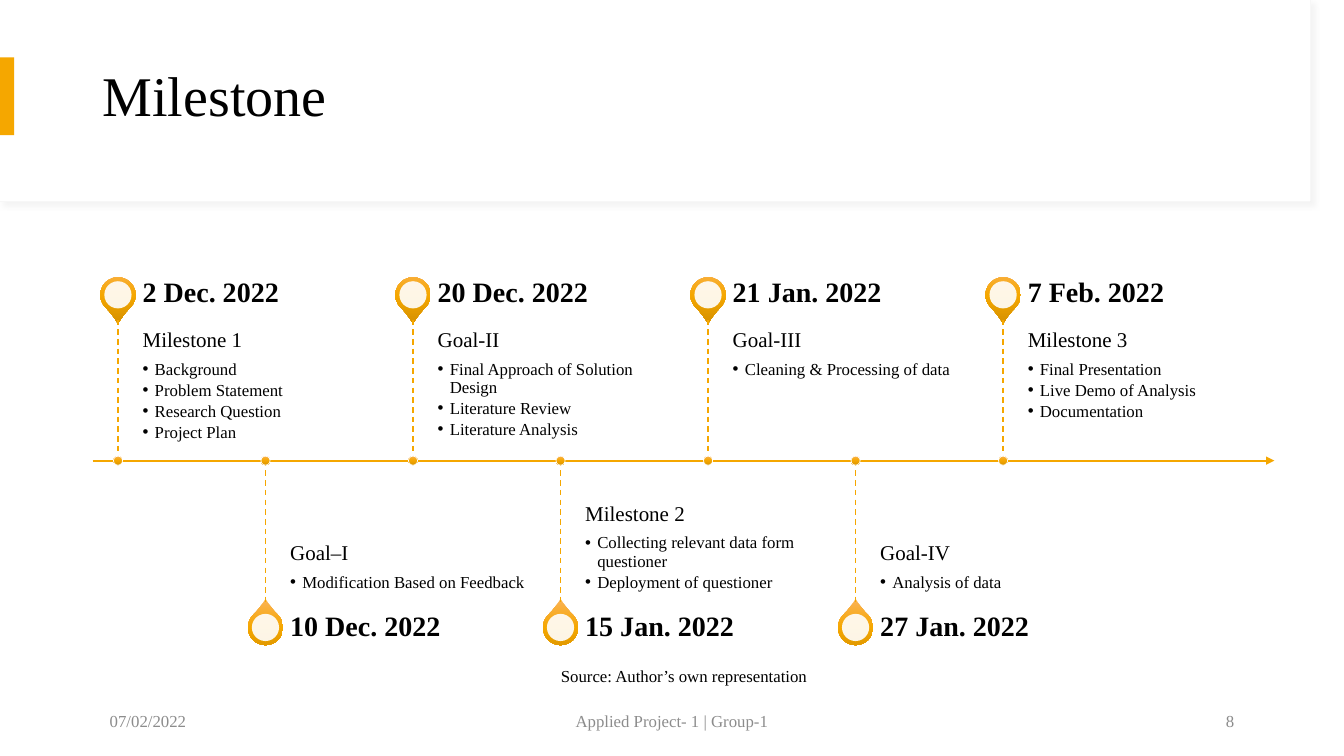
import dataclasses

import pptx
import pptx.dml.color
import pptx.enum.shapes
import pptx.enum.text
import pptx.oxml
import pptx.oxml.ns
import pptx.util

Inches = pptx.util.Inches
Pt = pptx.util.Pt
SHAPE = pptx.enum.shapes.MSO_SHAPE
ALIGN = pptx.enum.text.PP_ALIGN
ANCHOR = pptx.enum.text.MSO_ANCHOR
NS = pptx.oxml.ns.nsdecls("a")


@dataclasses.dataclass(frozen=True)
class Theme:
    font: str = "Times New Roman"
    accent: str = "F5A700"
    light: str = "FAB14B"
    dark: str = "DA9400"
    white: str = "FFFFFF"
    text: str = "000000"
    muted: str = "8C8C8C"
    rule: str = "E9E9E9"
    shadow: str = "D9D9D9"
    title: int = 40
    date: int = 20
    heading: int = 15
    body: int = 12


THEME = Theme()
MILESTONES = [
    ("2 Dec. 2022", "Milestone 1",
     ["Background", "Problem Statement", "Research Question", "Project Plan"]),
    ("10 Dec. 2022", "Goal–I", ["Modification Based on Feedback"]),
    ("20 Dec. 2022", "Goal-II",
     ["Final Approach of Solution Design", "Literature Review", "Literature Analysis"]),
    ("15 Jan. 2022", "Milestone 2",
     ["Collecting relevant data form questioner", "Deployment of questioner"]),
    ("21 Jan. 2022", "Goal-III", ["Cleaning & Processing of data"]),
    ("27 Jan. 2022", "Goal-IV", ["Analysis of data"]),
    ("7 Feb. 2022", "Milestone 3",
     ["Final Presentation", "Live Demo of Analysis", "Documentation"]),
]


def rgb(color):
    return pptx.dml.color.RGBColor.from_string(color)


def add_text_box(s, x, y, w, h, anchor=ANCHOR.MIDDLE, insets=(0.1, 0.05, 0.1, 0.05)):
    tf = s.shapes.add_textbox(Inches(x), Inches(y), Inches(w), Inches(h)).text_frame
    tf.word_wrap = True
    tf.vertical_anchor = anchor
    tf.margin_left, tf.margin_top, tf.margin_right, tf.margin_bottom = map(Inches, insets)
    return tf


def write(p, text, size, color=THEME.text, bold=False, align=ALIGN.LEFT, spacing=1.0, after=0):
    p.alignment = align
    p.line_spacing = spacing
    p.space_after = Pt(after)
    r = p.add_run()
    r.text = text
    r.font.name = THEME.font
    r.font.size = Pt(size)
    r.font.bold = bold
    r.font.color.rgb = rgb(color)


def add_bullet(p):
    pPr = p._p.get_or_add_pPr()
    pPr.set("marL", str(Inches(0.12)))
    pPr.set("indent", str(-Inches(0.12)))
    pPr.append(pptx.oxml.parse_xml(f'<a:buFont {NS} typeface="Arial"/>'))
    pPr.append(pptx.oxml.parse_xml(f'<a:buChar {NS} char="•"/>'))


def add_plain_shape(s, kind, x, y, w, h, fill=None):
    sp = s.shapes.add_shape(kind, Inches(x), Inches(y), Inches(w), Inches(h))
    sp.shadow.inherit = False
    sp.line.fill.background()
    if fill:
        sp.fill.solid()
        sp.fill.fore_color.rgb = rgb(fill)
    else:
        stops = "".join(f'<a:gs pos="{pos}"><a:srgbClr val="{color}"/></a:gs>' for pos, color in
                        ((0, THEME.light), (50000, THEME.accent), (100000, THEME.dark)))
        sp._element.spPr.find(pptx.oxml.ns.qn("a:prstGeom")).addnext(pptx.oxml.parse_xml(
            f'<a:gradFill {NS} rotWithShape="0"><a:gsLst>{stops}</a:gsLst>'
            '<a:lin ang="5400000" scaled="0"/></a:gradFill>'))
    return sp


def add_line(s, x1, y1, x2, y2, width, detail):
    line = s.shapes.add_connector(pptx.enum.shapes.MSO_CONNECTOR.STRAIGHT,
                                  Inches(x1), Inches(y1), Inches(x2), Inches(y2))
    line.line.color.rgb = rgb(THEME.accent)
    line.line.width = Pt(width)
    line.line._get_or_add_ln().append(pptx.oxml.parse_xml(detail))
    line._element.spPr.append(pptx.oxml.parse_xml(f"<a:effectLst {NS}/>"))


def cubic(a, b, c, d, steps=24):
    for i in range(1, steps + 1):
        t = i / steps
        yield tuple((1 - t) ** 3 * k + 3 * (1 - t) ** 2 * t * m + 3 * (1 - t) * t * t * n + t ** 3 * q
                    for k, m, n, q in zip(a, b, c, d))


def add_curved_panel(s, x, y, w, h):
    edge, side, mid = h - 0.29, h - 0.21, h - 0.08
    points = [(w, 0), (w, edge), (w - 0.91, side)]
    points += cubic((w - 0.91, side), (10.65, mid), (8.71, h), (w / 2, h))
    points += cubic((w / 2, h), (4.63, h), (2.68, mid), (0.91, side))
    points.append((0, edge))
    builder = s.shapes.build_freeform(0, 0, scale=Inches(1))
    builder.add_line_segments(points, close=True)
    sp = builder.convert_to_shape(Inches(x), Inches(y))
    sp.shadow.inherit = False
    sp.fill.solid()
    sp.fill.fore_color.rgb = rgb(THEME.white)
    sp.line.fill.background()
    return sp


def add_header(s, x, y, w, h):
    panel = add_curved_panel(s, x, y, w, h)
    panel.line.color.rgb = rgb(THEME.rule)
    panel.line.width = Pt(0.75)
    panel._element.spPr.find(pptx.oxml.ns.qn("a:effectLst")).append(pptx.oxml.parse_xml(
        f'<a:outerShdw {NS} blurRad="{Pt(4)}" dist="{Pt(3)}" dir="2700000" algn="tl" '
        f'rotWithShape="0"><a:srgbClr val="{THEME.shadow}"><a:alpha val="30000"/></a:srgbClr>'
        '</a:outerShdw>'))
    add_curved_panel(s, x, y, w, h - 0.01)
    tf = add_text_box(s, x + 0.92, y + 0.28, 11.5, 1.39)
    write(tf.paragraphs[0], "Milestone", THEME.title, spacing=0.9)
    add_plain_shape(s, SHAPE.RECTANGLE, x, y + 0.57, 0.14, 0.77, THEME.accent)


def add_milestone(s, x, y, w, above, date, heading, items):
    date_y = y - 1.9 if above else y + 1.41
    pin_y = y - 1.645 if above else y + 1.655
    pin = add_plain_shape(s, SHAPE.TEAR, x - 0.175, pin_y - 0.175, 0.35, 0.35)
    pin.adjustments[0] = 1.15
    pin.rotation = 135 if above else 315
    hole = add_plain_shape(s, SHAPE.OVAL, x - 0.135, pin_y - 0.135, 0.27, 0.27, THEME.white)
    hole._element.spPr.find(pptx.oxml.ns.qn("a:solidFill"))[0].append(
        pptx.oxml.parse_xml(f'<a:alpha {NS} val="90000"/>'))

    tf = add_text_box(s, x + 0.245, y - 1.4 if above else y, w, 1.4,
                      ANCHOR.TOP if above else ANCHOR.BOTTOM,
                      (0, 0.1, 0.1, 0.16) if above else (0, 0.16, 0, 0.1))
    write(tf.paragraphs[0], heading, THEME.heading, spacing=0.9, after=6)
    for item in items:
        p = tf.add_paragraph()
        write(p, item, THEME.body, spacing=0.9, after=2)
        p.level = 1
        add_bullet(p)

    tf = add_text_box(s, x + 0.245, date_y, w, 0.49, insets=(0, 0, 0.14, 0))
    write(tf.paragraphs[0], date, THEME.date, bold=True, spacing=0.9)
    ends = (y - 1.4, y) if above else (y, y + 1.41)
    add_line(s, x, ends[0], x, ends[1], 1, f'<a:prstDash {NS} val="dash"/>')
    dot = add_plain_shape(s, SHAPE.OVAL, x - 0.045, y - 0.045, 0.09, 0.09)
    dot.line.color.rgb = rgb(THEME.white)
    dot.line.width = Pt(0.5)


def add_timeline(s, x, y, w, h):
    axis_y = y + h / 2
    add_line(s, x, axis_y, x + w, axis_y, 1.5, f'<a:tailEnd {NS} type="triangle"/>')
    step = w / 8.01
    for i, milestone in enumerate(MILESTONES):
        add_milestone(s, x + 0.25 + i * step, axis_y, 2.44, i % 2 == 0, *milestone)


def add_footer(s, x, y, w, h):
    parts = [("07/02/2022", x, 3, ALIGN.LEFT),
             ("Applied Project- 1 | Group-1", x + (w - 4.5) / 2, 4.5, ALIGN.CENTER),
             ("8", x + w - 3, 3, ALIGN.RIGHT)]
    for text, left, width, align in parts:
        tf = add_text_box(s, left, y, width, h)
        write(tf.paragraphs[0], text, THEME.body, THEME.muted, align=align)


def add_source(s, x, y, w, h):
    tf = add_text_box(s, x, y, w, h, ANCHOR.TOP)
    write(tf.paragraphs[0], "Source: Author’s own representation", THEME.body, align=ALIGN.CENTER)


def main():
    prs = pptx.Presentation()
    prs.slide_width = Inches(13.33)
    prs.slide_height = Inches(7.5)
    s = prs.slides.add_slide(prs.slide_layouts[6])
    add_header(s, 0, 0, 13.33, 2.08)
    add_footer(s, 0.99, 6.95, 11.35, 0.4)
    add_timeline(s, 0.92, 2.67, 11.72, 3.8)
    add_source(s, 5.24, 6.56, 3.09, 0.3)
    prs.save("out.pptx")


if __name__ == "__main__":
    main()
